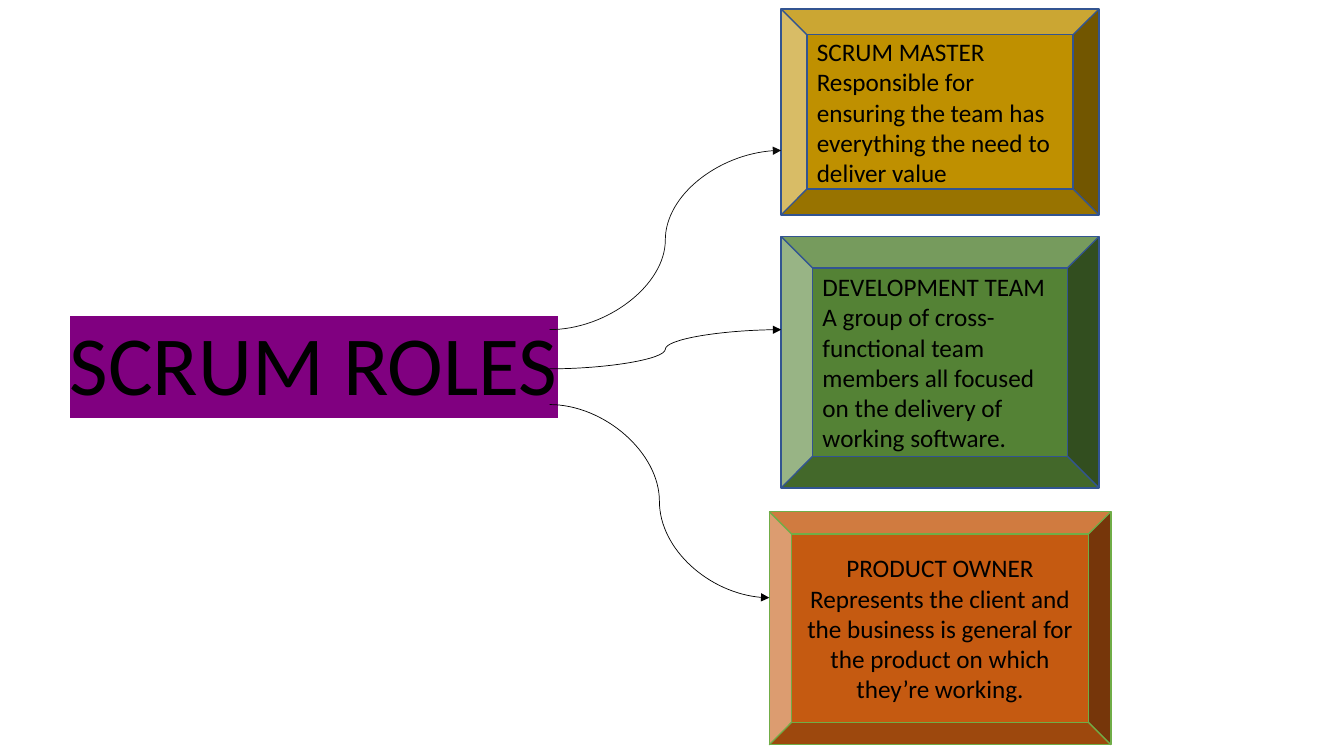
from dataclasses import dataclass

from lxml.etree import SubElement
from pptx import Presentation
from pptx.dml.color import RGBColor
from pptx.enum.shapes import MSO_CONNECTOR as Connector, MSO_SHAPE as Shape
from pptx.enum.text import MSO_ANCHOR as Anchor, MSO_AUTO_SIZE as AutoSize, PP_ALIGN as Align
from pptx.oxml.ns import qn
from pptx.util import Pt

FONT = "Calibri"
BLACK = "000000"
CONNECTOR_START = 392.5


@dataclass
class Role:
    """A role box and the arrow that leads to it, with lengths in points."""
    name: str
    duty: str
    left: float
    top: float
    width: float
    height: float
    fill: str
    arrow_from: float
    arrow_to: float
    line: str = "325491"
    align: Align = Align.LEFT
    bevel: float = 0.125
    arrow_color: str = BLACK


ROLES = [
    Role("SCRUM MASTER",
         "Responsible for ensuring the team has everything the need to deliver value",
         558, 6.5, 227, 147, "BF9000", 235.5, 107.5, arrow_color="0D0D0D"),
    Role("DEVELOPMENT TEAM",
         "A group of cross-functional team members all focused on the delivery of "
         "working software.",
         558, 169, 227, 179.5, "548235", 263.5, 235.5),
    Role("PRODUCT OWNER",
         "Represents the client and the business is general for the product on which "
         "they\u2019re working.",
         549.5, 365.5, 244, 166.5, "C55A11", 289, 427,
         line="70AD47", align=Align.CENTER, bevel=0.096),
]


def color(hex_code: str) -> RGBColor:
    """Turn a hex string into a colour."""
    return RGBColor.from_string(hex_code)


def format_text(frame, size: float, align: Align) -> None:
    """Give every paragraph of a text frame the same look."""
    for para in frame.paragraphs:
        para.alignment = align
        for span in para.runs:
            span.font.name = FONT
            span.font.size = Pt(size)
            span.font.color.rgb = color(BLACK)


def highlight(span, hex_code: str) -> None:
    """Mark a run with a background colour."""
    marker = SubElement(span.font._element, qn("a:highlight"))
    SubElement(marker, qn("a:srgbClr"), val=hex_code)
    span.font._element.find(qn("a:solidFill")).addnext(marker)


def add_title(page, text: str) -> None:
    """Place the highlighted slide title."""
    title = page.shapes.title
    title.left, title.top, title.width, title.height = Pt(42.5), Pt(219), Pt(480), Pt(80)
    frame = title.text_frame
    frame.text = text
    frame.word_wrap = True
    frame.auto_size = AutoSize.SHAPE_TO_FIT_TEXT
    frame.vertical_anchor = Anchor.TOP
    format_text(frame, 60, Align.LEFT)
    highlight(frame.paragraphs[0].runs[0], "800080")


def add_role(page, role: Role) -> None:
    """Draw the bevelled box of a role."""
    box = page.shapes.add_shape(
        Shape.BEVEL, Pt(role.left), Pt(role.top), Pt(role.width), Pt(role.height))
    box.adjustments[0] = role.bevel
    box.shadow.inherit = False
    box.fill.solid()
    box.fill.fore_color.rgb = color(role.fill)
    box.line.color.rgb = color(role.line)
    box.line.width = Pt(1)
    box.text_frame.text = f"{role.name}\n{role.duty}"
    box.text_frame.vertical_anchor = Anchor.MIDDLE
    format_text(box.text_frame, 18, role.align)


def add_arrow(page, role: Role) -> None:
    """Draw the curved arrow from the title to a role."""
    arrow = page.shapes.add_connector(
        Connector.CURVE, Pt(CONNECTOR_START), Pt(role.arrow_from),
        Pt(role.left), Pt(role.arrow_to))
    arrow.line.color.rgb = color(role.arrow_color)
    arrow.line.width = Pt(0.5)
    properties = arrow._element.spPr
    SubElement(properties.find(qn("a:ln")), qn("a:tailEnd"), type="triangle")
    SubElement(properties, qn("a:effectLst"))


def main() -> None:
    """Build the slide and save it."""
    deck = Presentation()
    deck.slide_width, deck.slide_height = Pt(960), Pt(540)
    page = deck.slides.add_slide(deck.slide_layouts.get_by_name("Title Only"))
    add_title(page, "SCRUM ROLES")
    for role in ROLES:
        add_role(page, role)
        add_arrow(page, role)
    deck.save("out.pptx")


main()
